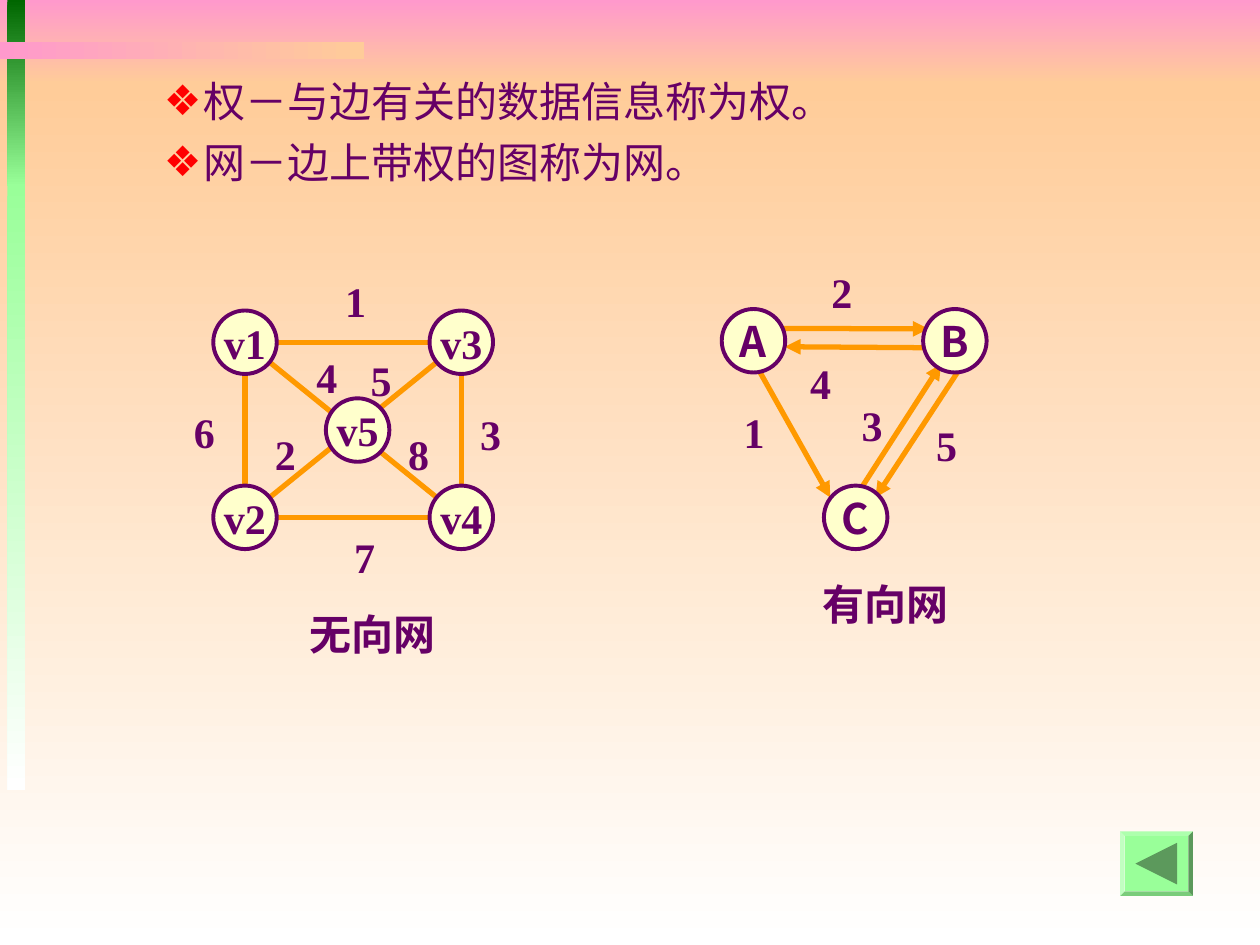
from lxml import etree
from pptx import Presentation
from pptx.dml.color import RGBColor
from pptx.enum import shapes, text
from pptx.oxml.ns import qn
from pptx.util import Cm, Pt

COLORS = {
    "pink": "FF99CC", "peach": "FFCC99", "white": "FFFFFF",
    "forest": "006600", "mint": "99FF99", "moss": "5C995C",
    "purple": "660066", "orange": "FF9900", "cream": "FFFFCC", "red": "FF0000",
}
SERIF, SANS = "Times New Roman", "Noto Sans CJK SC"

BANDS = [
    ((0, 0, 25.4, 1.7), "pink", "peach", 270),
    ((0, 1.7, 25.4, 17.35), "peach", "white", 270),
    ((0.15, 0, 0.36, 3.76), "forest", "mint", 270),
    ((0.15, 3.71, 0.36, 12.22), "mint", "white", 270),
    ((0, 0.84, 7.34, 0.36), "pink", "peach", 0),
]
DEFINITIONS = ["权－与边有关的数据信息称为权。", "网－边上带权的图称为网。"]

DIAMETER = 1.28
UNDIRECTED = {
    "v1": (4.94, 6.9), "v2": (4.94, 10.43), "v5": (7.21, 8.67),
    "v4": (9.3, 10.43), "v3": (9.3, 6.9),
}
EDGES = [("v1", "v2"), ("v2", "v4"), ("v4", "v3"), ("v1", "v3"), ("v3", "v2"), ("v4", "v1")]
DIRECTED = {"B": (19.25, 6.87), "C": (17.25, 10.43), "A": (15.19, 6.87)}
ARCS = [
    ((15.77, 6.62), (18.72, 6.63)),
    ((18.75, 7.01), (15.82, 6.99)),
    ((15.06, 7.04), (16.74, 10.03)),
    ((17.22, 10.06), (18.97, 7.34)),
    ((19.41, 7.34), (17.65, 10.03)),
]
UNDIRECTED_WEIGHTS = [
    ("1", 6.96, 5.56), ("7", 7.14, 10.72), ("6", 3.91, 8.2), ("3", 9.68, 8.23),
    ("2", 5.54, 8.64), ("4", 6.38, 7.09), ("5", 7.47, 7.14), ("8", 8.23, 8.64),
]
DIRECTED_WEIGHTS = [
    ("2", 16.76, 5.38), ("1", 14.99, 8.2), ("4", 16.33, 7.21),
    ("3", 17.37, 8.05), ("5", 18.87, 8.46),
]
GRAPHS = [
    (UNDIRECTED, [(UNDIRECTED[a], UNDIRECTED[b]) for a, b in EDGES], False, SERIF,
     UNDIRECTED_WEIGHTS, ("无向网", (4.52, 12.14, 5.99, 1.27))),
    (DIRECTED, ARCS, True, SANS,
     DIRECTED_WEIGHTS, ("有向网", (15.42, 11.53, 4.85, 1.27))),
]
BUTTON = (22.58, 16.76, 1.47, 1.3)
ARROW = (22.89, 16.99, 0.84, 0.84)
TIGHT = dict.fromkeys(("margin_left", "margin_top", "margin_right", "margin_bottom"), 0)


def rgb(name):
    return RGBColor.from_string(COLORS[name])


def cms(values):
    return [Cm(value) for value in values]


def apply(target, formats):
    for key, value in formats.items():
        setattr(target, key, value)


def write(paragraph, words, font=SERIF, bold=True):
    run = paragraph.add_run()
    run.text = words
    apply(run.font, {"name": font, "size": Pt(24), "bold": bold})
    run.font.color.rgb = rgb("purple")
    etree.SubElement(run.font._element, qn("a:ea"), typeface=SANS)


def add_shape(slide, preset, box, fill=None):
    shape = slide.shapes.add_shape(preset, *cms(box))
    shape.shadow.inherit = False
    shape.line.fill.background()
    if fill:
        shape.fill.solid()
        shape.fill.fore_color.rgb = rgb(fill)
    return shape


def add_band(slide, box, start, end, angle):
    fill = add_shape(slide, shapes.MSO_SHAPE.RECTANGLE, box).fill
    fill.gradient()
    fill.gradient_angle = angle
    for stop, color in zip(fill.gradient_stops, (start, end)):
        stop.color.rgb = rgb(color)


def add_edge(slide, start, end, arrow):
    edge = slide.shapes.add_connector(shapes.MSO_CONNECTOR.STRAIGHT, *cms(start + end))
    edge.line.color.rgb = rgb("orange")
    edge.line.width = Pt(3)
    if arrow:
        etree.SubElement(edge.line._get_or_add_ln(), qn("a:tailEnd"), type="triangle")
    etree.SubElement(edge._element.spPr, qn("a:effectLst"))


def add_node(slide, name, center, font):
    left, top = (value - DIAMETER / 2 for value in center)
    node = add_shape(slide, shapes.MSO_SHAPE.OVAL, (left, top, DIAMETER, DIAMETER), "cream")
    node.line.color.rgb = rgb("purple")
    node.line.width = Pt(2.25)
    apply(node.text_frame, {"word_wrap": False, "vertical_anchor": text.MSO_ANCHOR.MIDDLE})
    paragraph = node.text_frame.paragraphs[0]
    paragraph.alignment = text.PP_ALIGN.CENTER
    write(paragraph, name, font)


def add_label(slide, words, box, align, formats):
    frame = slide.shapes.add_textbox(*cms(box)).text_frame
    apply(frame, formats)
    frame.paragraphs[0].alignment = align
    write(frame.paragraphs[0], words)


def add_definitions(slide, body):
    slide.shapes._spTree.append(body._element)
    apply(body, dict(zip(("left", "top", "width", "height"), cms((1.78, 1.4, 20.09, 3.61)))))
    frame = body.text_frame
    apply(frame, {"word_wrap": True, "auto_size": text.MSO_AUTO_SIZE.NONE})
    for index, words in enumerate(DEFINITIONS):
        paragraph = frame.add_paragraph() if index else frame.paragraphs[0]
        paragraph.space_before = Pt(6 if index else 0)
        properties = paragraph._p.get_or_add_pPr()
        properties.set("marL", str(Cm(2.06)))
        properties.set("indent", str(-Cm(0.79)))
        color = etree.SubElement(properties, qn("a:buClr"))
        etree.SubElement(color, qn("a:srgbClr"), val=COLORS["red"])
        etree.SubElement(properties, qn("a:buChar"), char="❖")
        write(paragraph, words, bold=False)


def add_graph(slide, nodes, edges, arrows, font, weights, caption):
    for start, end in edges:
        add_edge(slide, start, end, arrows)
    for name, center in nodes.items():
        add_node(slide, name, center, font)
    for weight, left, top in weights:
        add_label(slide, weight, (left, top, 0.43, 1.02), text.PP_ALIGN.LEFT,
                  {"word_wrap": False, **TIGHT})
    add_label(slide, *caption, text.PP_ALIGN.CENTER, {"word_wrap": True})


def main():
    deck = Presentation()
    apply(deck, {"slide_width": Cm(25.4), "slide_height": Cm(19.05)})
    slide = deck.slides.add_slide(deck.slide_layouts[1])
    title, body = slide.placeholders
    title._element.getparent().remove(title._element)
    for box, start, end, angle in BANDS:
        add_band(slide, box, start, end, angle)
    add_definitions(slide, body)
    for graph in GRAPHS:
        add_graph(slide, *graph)
    button = add_shape(slide, shapes.MSO_SHAPE.BEVEL, BUTTON, "mint")
    button.adjustments[0] = 0.07
    arrow = add_shape(slide, shapes.MSO_SHAPE.ISOSCELES_TRIANGLE, ARROW, "moss")
    arrow.rotation = 270
    deck.save("out.pptx")


if __name__ == "__main__":
    main()
